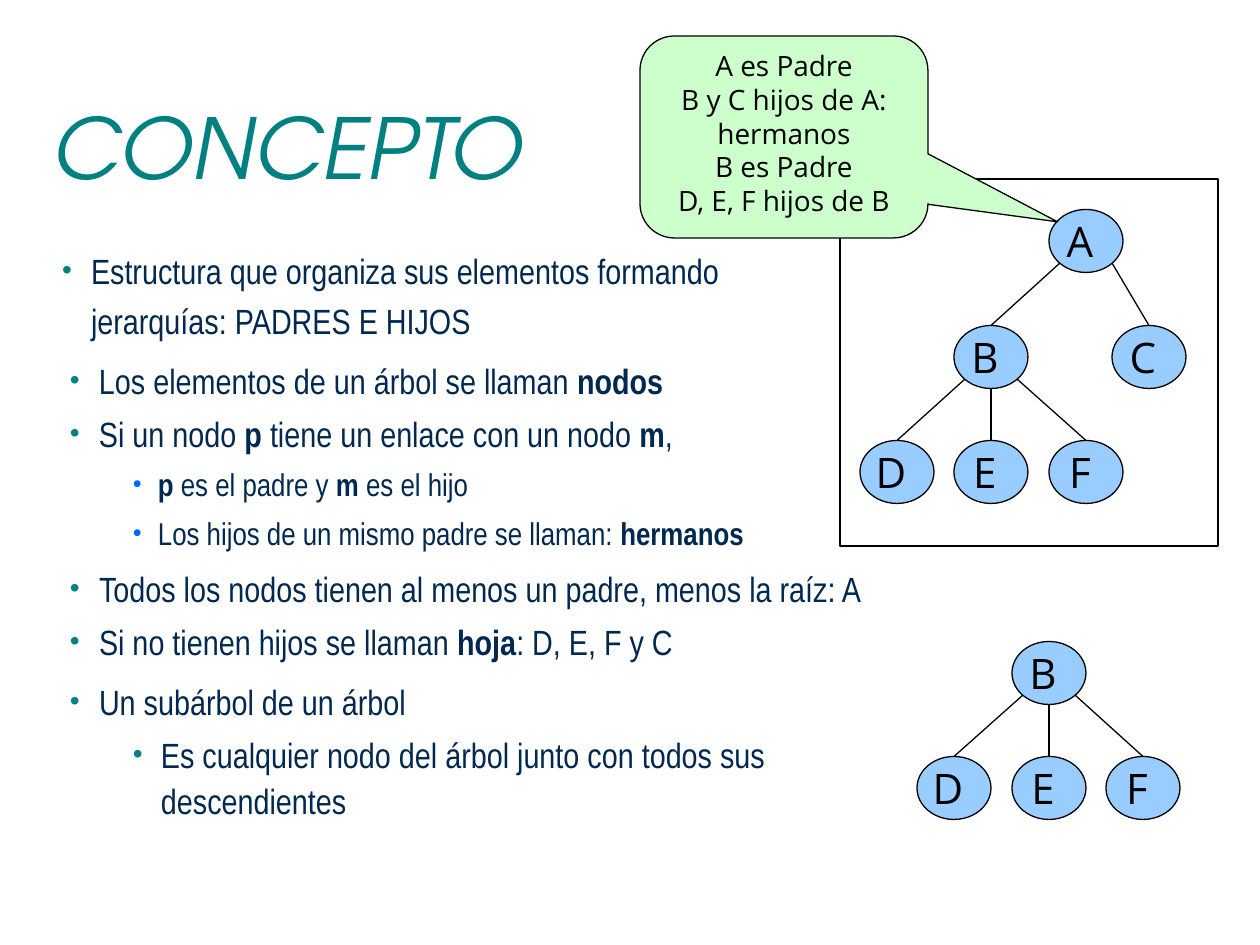
from lxml.etree import SubElement
from pptx import Presentation
from pptx.dml.color import RGBColor
from pptx.enum.shapes import MSO_CONNECTOR, MSO_SHAPE
from pptx.enum.text import MSO_ANCHOR, PP_ALIGN
from pptx.oxml.ns import qn
from pptx.util import Pt

SCALE = 914400 / 126
TEAL, NAVY, BLUE, BLACK = "008080", "002850", "0066FF", "000000"
SKY, MINT = "99CCFF", "CCFFCC"


def px(*lengths):
    return [round(length * SCALE) for length in lengths]


def write(frame, lines, font_name, size, colour, align, frame_format):
    for name, value in frame_format.items():
        setattr(frame, name, value)
    paragraphs = []
    for index, line in enumerate(lines):
        paragraph = frame.add_paragraph() if index else frame.paragraphs[0]
        paragraph.alignment = align
        for part, words in enumerate(line.split("*")):
            if words:
                run = paragraph.add_run()
                run.text = words
                font_format = {"name": font_name, "size": Pt(size), "bold": part % 2 == 1}
                for name, value in font_format.items():
                    setattr(run.font, name, value)
                run.font.color.rgb = RGBColor.from_string(colour)
        paragraphs.append(paragraph)
    return paragraphs


presentation = Presentation()
presentation.slide_width, presentation.slide_height = px(1260, 945)
slide = presentation.slides.add_slide(presentation.slide_layouts[6])
margins = ["margin_left", "margin_top", "margin_right", "margin_bottom"]

title = slide.shapes.add_textbox(*px(53, 67, 1134, 157))
title_format = dict.fromkeys(margins, 0) | {"word_wrap": True, "vertical_anchor": MSO_ANCHOR.MIDDLE}
heading = write(title.text_frame, ["CONCEPTO"], "TeX Gyre Adventor", 48, TEAL, PP_ALIGN.LEFT, title_format)
heading[0].runs[0].font.italic = True

main = (0, 29, 29, 20, TEAL)
detail = (1, 88, 25, 18, BLUE)
closing = (1, 91, 28, 20, TEAL)
text_blocks = [
    ((62, 241, 777, 147), 0, 1.2, [
        (main, "Estructura que organiza sus elementos formando jerarquías: PADRES E HIJOS"),
    ]),
    ((64, 670, 891, 150), 6, 1.1, [
        (main, "Un subárbol de un árbol"),
        (closing, "Es cualquier nodo del árbol junto con todos sus descendientes"),
    ]),
    ((64, 349, 998, 202), 6, 1.1, [
        (main, "Los elementos de un árbol se llaman *nodos*"),
        (main, "Si un nodo *p* tiene un enlace con un nodo *m*,"),
        (detail, "*p* es el padre y *m* es el hijo"),
        (detail, "Los hijos de un mismo padre se llaman: *hermanos*"),
    ]),
    ((64, 557, 1092, 106), 6, 1.1, [
        (main, "Todos los nodos tienen al menos un padre, menos la raíz: A"),
        (main, "Si no tienen hijos se llaman *hoja*: D, E, F y C"),
    ]),
]
for place, inset, spacing, items in text_blocks:
    frame = slide.shapes.add_textbox(*px(*place)).text_frame
    frame_format = dict.fromkeys(margins, px(inset)[0]) | {"word_wrap": True}
    for index, (style, line) in enumerate(items):
        level, left, hanging, size, bullet_colour = style
        if index:
            frame.add_paragraph()
        paragraph = frame.paragraphs[index]
        holder = write(frame, [""], "Arial Narrow", size, NAVY, PP_ALIGN.LEFT, frame_format)
        for part, words in enumerate(line.split("*")):
            if words:
                run = paragraph.add_run()
                run.text = words
                for name, value in {"name": "Arial Narrow", "size": Pt(size), "bold": part % 2 == 1}.items():
                    setattr(run.font, name, value)
                run.font.color.rgb = RGBColor.from_string(NAVY)
        for name, value in {"level": level, "line_spacing": spacing, "space_before": Pt(4)}.items():
            setattr(paragraph, name, value)
        properties = paragraph._p.get_or_add_pPr()
        for name, value in zip(("marL", "indent"), px(left, -hanging)):
            properties.set(name, str(value))
        SubElement(SubElement(properties, qn("a:buClr")), qn("a:srgbClr"), val=bullet_colour)
        SubElement(properties, qn("a:buSzPct"), val="80000")
        SubElement(properties, qn("a:buFont"), typeface="Arial")
        SubElement(properties, qn("a:buChar"), char="•")

NODE_WIDTH, NODE_HEIGHT = 74, 63
SIDE, DROP = 26, 22
frame_place = (840, 179, 378, 367)
trees = [
    ({"A": (1086, 241), "B": (991, 357), "C": (1149, 357), "D": (897, 472), "E": (991, 472), "F": (1086, 472)},
     ["AB", "AC", "BD", "BE", "BF"], frame_place),
    ({"B": (1049, 673), "D": (954, 788), "E": (1049, 788), "F": (1143, 788)},
     ["BD", "BE", "BF"], None),
]
node_format = dict.fromkeys(margins, 0) | {
    "margin_right": px(12)[0], "word_wrap": True, "vertical_anchor": MSO_ANCHOR.MIDDLE}
outlined = []
for nodes, edges, border in trees:
    tree = slide.shapes.add_group_shape()
    for letter, (x, y) in nodes.items():
        place = px(x - NODE_WIDTH / 2, y - NODE_HEIGHT / 2, NODE_WIDTH, NODE_HEIGHT)
        node = tree.shapes.add_shape(MSO_SHAPE.OVAL, *place)
        node.fill.solid()
        node.fill.fore_color.rgb = RGBColor.from_string(SKY)
        write(node.text_frame, [letter], "Open Sans", 24, BLACK, PP_ALIGN.CENTER, node_format)
        outlined.append(node)
    for parent, child in edges:
        (x, y), (end_x, end_y) = nodes[parent], nodes[child]
        direction = (end_x > x) - (end_x < x)
        start_y = y + (DROP if direction else NODE_HEIGHT / 2)
        ends = px(x + SIDE * direction, start_y, end_x, end_y - NODE_HEIGHT / 2)
        edge = tree.shapes.add_connector(MSO_CONNECTOR.STRAIGHT, *ends)
        SubElement(edge._element.spPr, qn("a:effectLst"))
        outlined.append(edge)
    if border:
        box = tree.shapes.add_shape(MSO_SHAPE.RECTANGLE, *px(*border))
        box.fill.background()
        outlined.append(box)

callout = slide.shapes.add_shape(MSO_SHAPE.ROUNDED_RECTANGULAR_CALLOUT, *px(640, 36, 288, 202))
for index, value in enumerate((0.95, 0.42, 0.17)):
    callout.adjustments[index] = value
callout.fill.solid()
callout.fill.fore_color.rgb = RGBColor.from_string(MINT)
callout_format = dict.fromkeys(margins, px(6)[0]) | {
    "margin_top": px(3)[0], "word_wrap": True, "vertical_anchor": MSO_ANCHOR.TOP}
family = ["A es Padre", "B y C hijos de A: hermanos", "B es Padre", "D, E, F hijos de B"]
write(callout.text_frame, family, "Open Sans", 16, BLACK, PP_ALIGN.CENTER, callout_format)
outlined.append(callout)

for shape in outlined:
    shape.line.color.rgb = RGBColor.from_string(BLACK)
    shape.line.width = Pt(0.75)
    if hasattr(shape, "shadow"):
        shape.shadow.inherit = False

presentation.save("out.pptx")
